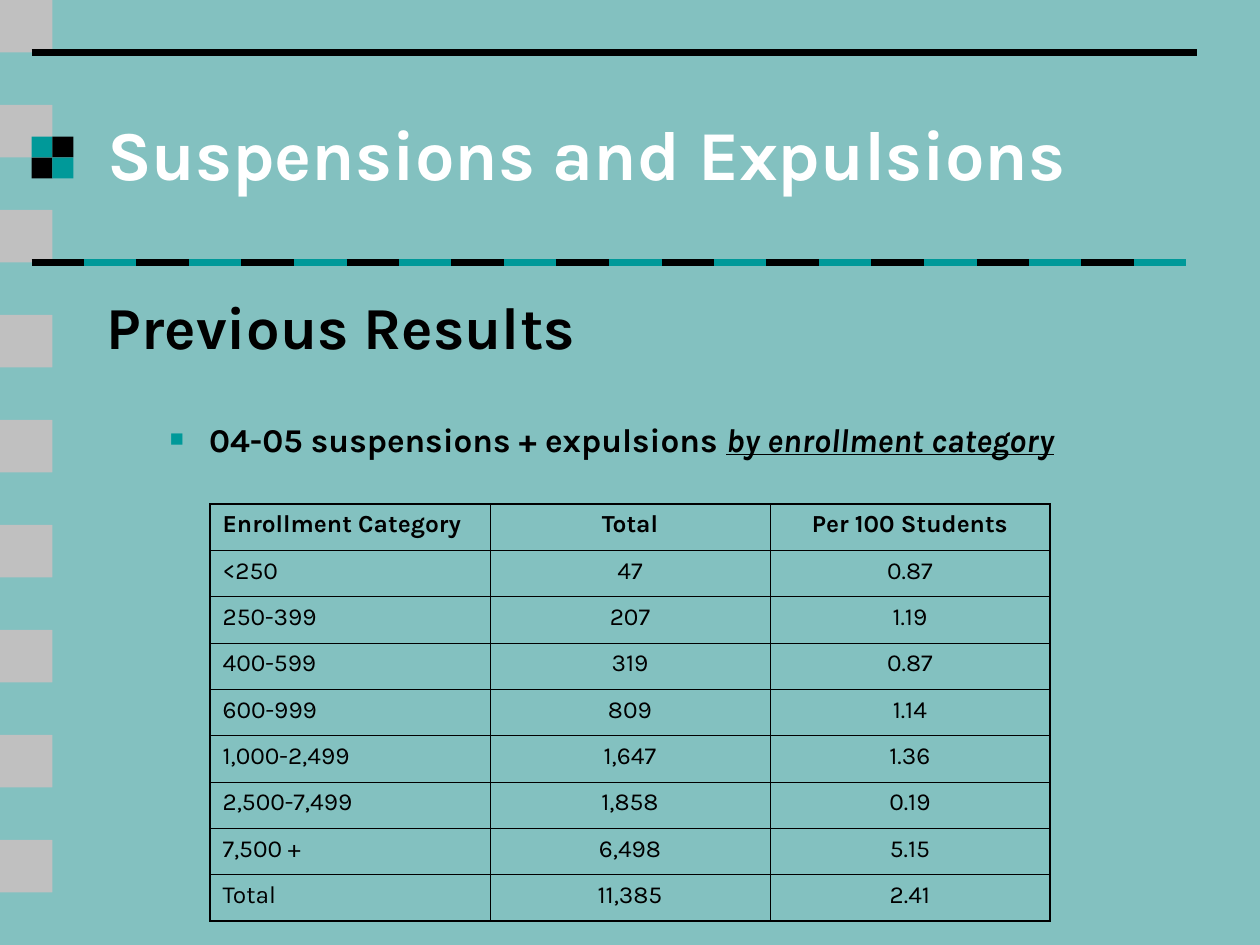
from lxml import etree
from pptx import Presentation
from pptx.dml.color import RGBColor
from pptx.enum.shapes import MSO_CONNECTOR, MSO_SHAPE
from pptx.enum.text import MSO_ANCHOR, MSO_AUTO_SIZE, PP_ALIGN
from pptx.oxml.ns import qn
from pptx.util import Pt

LINE, RECT = MSO_CONNECTOR.STRAIGHT, MSO_SHAPE.RECTANGLE
LEFT, CENTER = PP_ALIGN.LEFT, PP_ALIGN.CENTER
FONT = "Karla"
BLACK, WHITE, TEAL, GREY, BACK = "000000", "FFFFFF", "009999", "C0C0C0", "83C1C0"

# Content
TITLE = "Suspensions and Expulsions"
HEADING = "Previous Results"
BULLET, BULLET_EMPHASIS = "04-05 suspensions + expulsions ", "by enrollment category"
ROWS = [
    ("Enrollment Category", "Total", "Per 100 Students"),
    ("<250", "47", "0.87"),
    ("250-399", "207", "1.19"),
    ("400-599", "319", "0.87"),
    ("600-999", "809", "1.14"),
    ("1,000-2,499", "1,647", "1.36"),
    ("2,500-7,499", "1,858", "0.19"),
    ("7,500 +", "6,498", "5.15"),
    ("Total", "11,385", "2.41"),
]

# Layout in points
UNIT = 30
EDGE = 18
CHECK = 12
TEXT_LEFT, TEXT_WIDTH = 54, 612
TABLE_LEFT, TABLE_TOP, COL_WIDTH, ROW_HEIGHT = 120, 288, 160, 26.5
THICK, THIN = 1.08, 0.45


def rgb(color):
    return RGBColor.from_string(color)


def style(r, size, color=BLACK, bold=True):
    r.font.name = FONT
    r.font.size = Pt(size)
    r.font.bold = bold
    r.font.color.rgb = rgb(color)


def add_square(s, x, y, side, color):
    sp = s.shapes.add_shape(RECT, Pt(x), Pt(y), Pt(side), Pt(side))
    sp.shadow.inherit = False
    sp.fill.solid()
    sp.fill.fore_color.rgb = rgb(color)
    sp.line.fill.background()


def add_rule(s, x1, x2, y, color):
    line = s.shapes.add_connector(LINE, Pt(x1), Pt(y), Pt(x2), Pt(y))
    line.line.color.rgb = rgb(color)
    line.line.width = Pt(4.5)
    etree.SubElement(line._element.spPr, qn("a:effectLst"))


def add_bullet(p, char, color, percent, margin, indent):
    pPr = p._p.get_or_add_pPr()
    pPr.set("marL", str(Pt(margin)))
    pPr.set("indent", str(Pt(indent)))
    clr = etree.SubElement(pPr, qn("a:buClr"))
    etree.SubElement(clr, qn("a:srgbClr"), val=color)
    etree.SubElement(pPr, qn("a:buSzPct"), val=str(percent * 1000))
    etree.SubElement(pPr, qn("a:buFont"), typeface="Arial")
    etree.SubElement(pPr, qn("a:buChar"), char=char)


def set_borders(cell, widths):
    tcPr = cell._tc.get_or_add_tcPr()
    for side, width in zip("LRTB", widths):
        ln = etree.SubElement(tcPr, qn("a:ln" + side), w=str(Pt(width)))
        fill = etree.SubElement(ln, qn("a:solidFill"))
        etree.SubElement(fill, qn("a:srgbClr"), val=BLACK)


prs = Presentation()
prs.slide_width, prs.slide_height = Pt(720), Pt(540)
s = prs.slides.add_slide(prs.slide_layouts[5])
s.background.fill.solid()
s.background.fill.fore_color.rgb = rgb(BACK)

# Side squares, checker and rules
for i in range(9):
    add_square(s, 0, 2 * UNIT * i, UNIT, GREY)
add_rule(s, EDGE, 684, UNIT, BLACK)
for row in range(2):
    for col in range(2):
        color = TEAL if row == col else BLACK
        add_square(s, EDGE + col * CHECK, 78 + row * CHECK, CHECK, color)
for i in range(22):
    x = EDGE + UNIT * i
    add_rule(s, x, x + UNIT, 5 * UNIT, TEAL if i % 2 else BLACK)

# Title
title = s.shapes.title
title.left, title.top, title.width, title.height = Pt(TEXT_LEFT), Pt(42), Pt(TEXT_WIDTH), Pt(90)
tf = title.text_frame
tf.text = TITLE
tf.auto_size = MSO_AUTO_SIZE.NONE
tf.vertical_anchor = MSO_ANCHOR.MIDDLE
tf.paragraphs[0].alignment = LEFT
style(tf.paragraphs[0].runs[0], 40, WHITE)

# Heading and bullet
body = s.shapes.add_textbox(Pt(TEXT_LEFT), Pt(162), Pt(TEXT_WIDTH), Pt(324))
tf = body.text_frame
tf.word_wrap = True
tf.text = HEADING
style(tf.paragraphs[0].runs[0], 34)
p = tf.add_paragraph()
p.space_before = Pt(33)
add_bullet(p, "■", TEAL, 70, 58.5, -22.5)
for text, emphasis in ((BULLET, False), (BULLET_EMPHASIS, True)):
    r = p.add_run()
    r.text = text
    style(r, 19)
    if emphasis:
        r.font.italic = r.font.underline = True

# Table
n_rows, n_cols = len(ROWS), len(ROWS[0])
table = s.shapes.add_table(n_rows, n_cols, Pt(TABLE_LEFT), Pt(TABLE_TOP),
                           Pt(COL_WIDTH * n_cols), Pt(ROW_HEIGHT * n_rows)).table
table.first_row = table.horz_banding = False
for col in table.columns:
    col.width = Pt(COL_WIDTH)
for i, values in enumerate(ROWS):
    table.rows[i].height = Pt(ROW_HEIGHT)
    for j, value in enumerate(values):
        cell = table.cell(i, j)
        cell.text = value
        p = cell.text_frame.paragraphs[0]
        p.alignment = CENTER if j else LEFT
        style(p.runs[0], 14, bold=i == 0)
        heavy = (j == 0, j == n_cols - 1, i <= 1, i in (0, n_rows - 1))
        set_borders(cell, [THICK if h else THIN for h in heavy])
        cell.fill.background()

prs.save("out.pptx")
